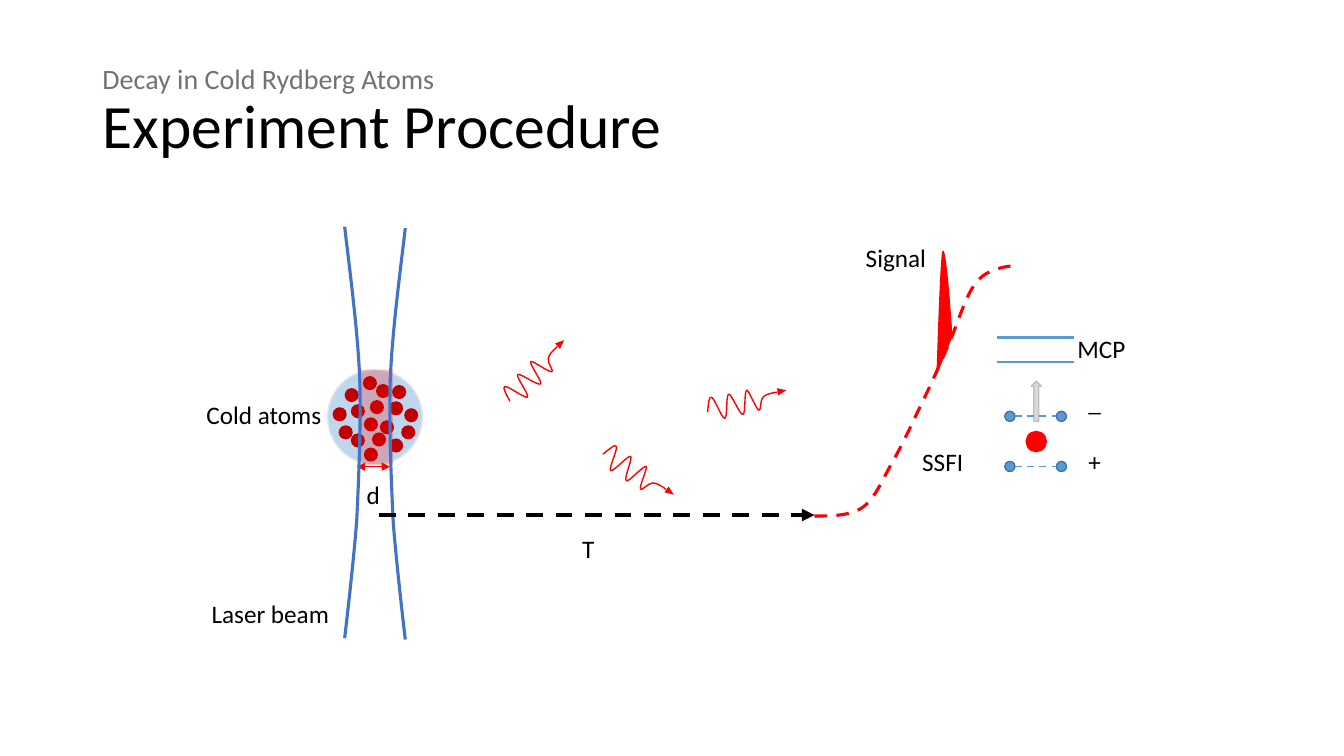
from math import cos, radians, sin

from pptx import Presentation
from pptx import util as u
from pptx.dml.color import RGBColor
from pptx.enum import dml, shapes, text
from pptx.oxml import ns
from lxml import etree

BLACK = RGBColor(0x00, 0x00, 0x00)
GREY = RGBColor(0x76, 0x71, 0x71)
RED = RGBColor(0xFF, 0x00, 0x00)
DARK_RED = RGBColor(0xC0, 0x00, 0x00)
PALE_BLUE = RGBColor(0xBD, 0xD7, 0xEE)
PALE_GREY = RGBColor(0xE7, 0xE6, 0xE6)
BEAM_BLUE = RGBColor(0x44, 0x72, 0xC4)
PLATE_BLUE = RGBColor(0x5B, 0x9B, 0xD5)
EDGE_BLUE = RGBColor(0x43, 0x73, 0x9E)
ARROW_GREY = RGBColor(0xD9, 0xD9, 0xD9)
ARROW_EDGE = RGBColor(0xBF, 0xBF, 0xBF)

KIND = shapes.MSO_SHAPE

# Curves: a start point, then two control points and an end point per segment.
BEAM = [(246.2, 162), (250.6, 199.4), (255.6, 236.9), (257, 271.4),
        (257.8, 306.7), (256.3, 339.8), (254.9, 370.8),
        (252.7, 401), (246.2, 455.8), (246.2, 455.8)]
BEAM_MIRROR = 535.7
RAMP = [(581.8, 368.6), (594, 368.6), (606.2, 368.6), (615.6, 362.9),
        (625, 356.4), (630, 343.4), (637.2, 330.5),
        (644.4, 318.2), (651.6, 302.4), (658.8, 287.3),
        (666, 273), (679.7, 241.2), (679.7, 241.2),
        (685.4, 226.8), (690.5, 210.2), (697, 202.3),
        (703.4, 193.7), (712.1, 192.2), (717.1, 190.8),
        (722.9, 189.4), (725, 190.8), (727.9, 191.5)]
PEAK = [(668.9, 268.6), (670.3, 226.1), (671.8, 183.6), (673.2, 179.3),
        (675.4, 174.2), (678.2, 207.4), (680.4, 240.5)]
# One photon, lying flat and centred on (0, 0).
WAVE = [(-25.8, 1.6), (-23.8, -3.9), (-22.6, -9.5), (-20.7, -8.3),
        (-18.7, -7.1), (-16.9, 8), (-14.8, 8.5),
        (-12.5, 8.3), (-10.5, -7.5), (-8.2, -7.8),
        (-6.1, -7.3), (-3.8, 8.7), (-1.5, 8.5),
        (0.6, 9), (2.8, -7.5), (5, -7.7),
        (6.5, -7.4), (8.4, 7.1), (10.4, 8.2),
        (11.6, 9.2), (12.6, 1.4), (15.2, -0.3),
        (17.8, -1.9), (21.5, -1.9), (25.8, -1.6)]
WAVE_TIP = (29.3, -1.6)

ATOM_SIZE = 10.1
ATOMS = [(246.2, 277.2), (264.2, 285.8), (241.9, 303.8), (259.9, 298.1),
         (259.2, 268.6), (280.1, 275), (250.6, 288.7), (237.6, 290.9),
         (277.9, 286.6), (271.4, 300.2), (286.6, 303.8), (288.7, 291.6),
         (250.6, 309.6), (265.7, 308.9), (277.9, 313.2), (259.9, 319.7),
         (268.6, 274.3)]
PHOTONS = [(381.2, 267.1, 314.6), (453.2, 337, 32.7), (530.3, 287.3, 347.4)]


def bend(shape, points):
    """Make the outline of a freeform run along cubic curves."""
    outline = next(shape.element.iter(ns.qn("a:path")))
    for child in list(outline):
        outline.remove(child)
    groups = [points[:1]] + [points[i:i + 3] for i in range(1, len(points), 3)]
    for group in groups:
        tag = "a:moveTo" if len(group) == 1 else "a:cubicBezTo"
        move = etree.SubElement(outline, ns.qn(tag))
        for x, y in group:
            etree.SubElement(move, ns.qn("a:pt"),
                             x=str(x - shape.left), y=str(y - shape.top))


def add_span(para, words, *, size=18, color=BLACK, font="Calibri"):
    span = para.add_run()
    span.text = words
    span.font.size = u.Pt(size)
    span.font.name = font
    span.font.color.rgb = color


class Figure:
    """Holds the current page and draws each kind of element on it."""

    def __init__(self, page):
        self.page = page

    def style(self, shape, fill=None, line=None, width=1, dashed=False):
        shape.shadow.inherit = False
        if fill is None:
            shape.fill.background()
        else:
            shape.fill.solid()
            shape.fill.fore_color.rgb = fill
        self.outline(shape.line, line, width, dashed)
        return shape

    def outline(self, stroke, color, width, dashed):
        if color is None:
            stroke.fill.background()
            return
        stroke.color.rgb = color
        stroke.width = u.Pt(width)
        if dashed:
            stroke.dash_style = dml.MSO_LINE.DASH

    def title(self, kicker, heading):
        box = self.page.shapes.title
        box.left, box.top, box.width, box.height = map(u.Pt, (66, 28.75, 828, 104.4))
        frame = box.text_frame
        frame.auto_size = text.MSO_AUTO_SIZE.NONE
        frame.vertical_anchor = text.MSO_ANCHOR.MIDDLE
        para = frame.paragraphs[0]
        para.alignment = text.PP_ALIGN.LEFT
        para.line_spacing = 0.9
        add_span(para, kicker, size=20, color=GREY)
        para.add_line_break()
        add_span(para, heading, size=44)

    def label(self, words, left, top, width):
        box = self.page.shapes.add_textbox(*map(u.Pt, (left, top, width, 29)))
        box.text_frame.word_wrap = False
        box.text_frame.auto_size = text.MSO_AUTO_SIZE.SHAPE_TO_FIT_TEXT
        add_span(box.text_frame.paragraphs[0], words)

    def shape(self, kind, left, top, width, height, **look):
        shape = self.page.shapes.add_shape(kind, *map(u.Pt, (left, top, width, height)))
        return self.style(shape, **look)

    def curve(self, points, **look):
        track = [(u.Pt(x), u.Pt(y)) for x, y in points]
        knots = track[::3]
        builder = self.page.shapes.build_freeform(*knots[0])
        builder.add_line_segments(knots[1:], close=False)
        shape = builder.convert_to_shape()
        bend(shape, track)
        return self.style(shape, **look)

    def line(self, start, end, color, width, dashed=False, ends=()):
        """Draw a straight line; ends names the arrowheads, headEnd or tailEnd."""
        line = self.page.shapes.add_connector(
            shapes.MSO_CONNECTOR.STRAIGHT, *map(u.Pt, (*start, *end)))
        self.outline(line.line, color, width, dashed)
        properties = line.element.spPr
        for end_name in ends:
            etree.SubElement(properties.find(ns.qn("a:ln")),
                             ns.qn("a:" + end_name), type="triangle")
        etree.SubElement(properties, ns.qn("a:effectLst"))

    def photon(self, x, y, angle):
        turn = radians(angle)
        tip_x = x + WAVE_TIP[0] * cos(turn) - WAVE_TIP[1] * sin(turn)
        tip_y = y + WAVE_TIP[0] * sin(turn) + WAVE_TIP[1] * cos(turn)
        tip = self.shape(KIND.ISOSCELES_TRIANGLE, tip_x - 2.6, tip_y - 3.2, 5.2, 6.4, fill=RED)
        tip.rotation = (angle + 93) % 360
        wave = self.curve([(x + dx, y + dy) for dx, dy in WAVE], line=RED)
        wave.rotation = angle


def draw_atoms(figure):
    figure.shape(KIND.OVAL, 234, 264.2, 67.7, 67.7, fill=PALE_BLUE, line=PALE_GREY)
    for left, top in ATOMS:
        figure.shape(KIND.FLOWCHART_CONNECTOR, left, top, ATOM_SIZE, ATOM_SIZE, fill=DARK_RED)
    figure.label("Cold atoms", 140.4, 281.5, 97.2)
    figure.line((254.9, 333.4), (278.6, 333.4), RED, 0.5, ends=("headEnd", "tailEnd"))
    figure.label("d", 254.9, 339.1, 24.5)
    overlap = figure.shape(KIND.RECTANGLE, 257.8, 264.2, 23, 67.7, fill=RED)
    color = overlap.element.spPr.find(ns.qn("a:solidFill"))[0]
    etree.SubElement(color, ns.qn("a:alpha"), val="22000")
    figure.curve(BEAM, line=BEAM_BLUE, width=2.25)
    figure.curve([(BEAM_MIRROR - x, y + 1) for x, y in BEAM], line=BEAM_BLUE, width=2.25)
    figure.label("Laser beam", 144, 424.1, 99.4)


def draw_signal(figure):
    figure.curve(RAMP, line=RED, width=2.25, dashed=True)
    figure.label("SSFI", 651.6, 315.4, 43.9)
    figure.curve(PEAK, fill=RED)
    figure.label("Signal", 611.3, 169.5, 58.3)
    figure.line((270.7, 367.9), (581.8, 367.9), BLACK, 3, dashed=True, ends=("tailEnd",))
    figure.label("T", 408.8, 377.3, 23.2)
    for photon in PHOTONS:
        figure.photon(*photon)


def draw_detector(figure):
    for top in (293.8, 329.6):
        for left in (717.8, 754.6):
            figure.shape(KIND.OVAL, left, top, 7.2, 7.2, fill=PLATE_BLUE, line=EDGE_BLUE)
    figure.shape(KIND.OVAL, 733, 308.2, 14.4, 14.4, fill=RED, line=RED)
    figure.shape(KIND.UP_ARROW, 736.6, 272.2, 7.2, 28.8, fill=ARROW_GREY, line=ARROW_EDGE)
    for y in (241.2, 258.5):
        figure.line((712.4, y), (767.2, y), PLATE_BLUE, 1.75)
    figure.label("MCP", 762.5, 234.7, 49)
    figure.label("_", 770.4, 272.2, 23.8)
    figure.label("+", 770.4, 315.4, 23.8)
    for y in (333.2, 297.4):
        figure.line((725, y), (754.6, y), PLATE_BLUE, 1.25, dashed=True)


def main():
    deck = Presentation()
    deck.slide_width, deck.slide_height = u.Pt(960), u.Pt(540)
    figure = Figure(deck.slides.add_slide(deck.slide_layouts[5]))
    figure.title("Decay in Cold Rydberg Atoms", "Experiment Procedure")
    draw_atoms(figure)
    draw_signal(figure)
    draw_detector(figure)
    deck.save("out.pptx")


if __name__ == "__main__":
    main()
